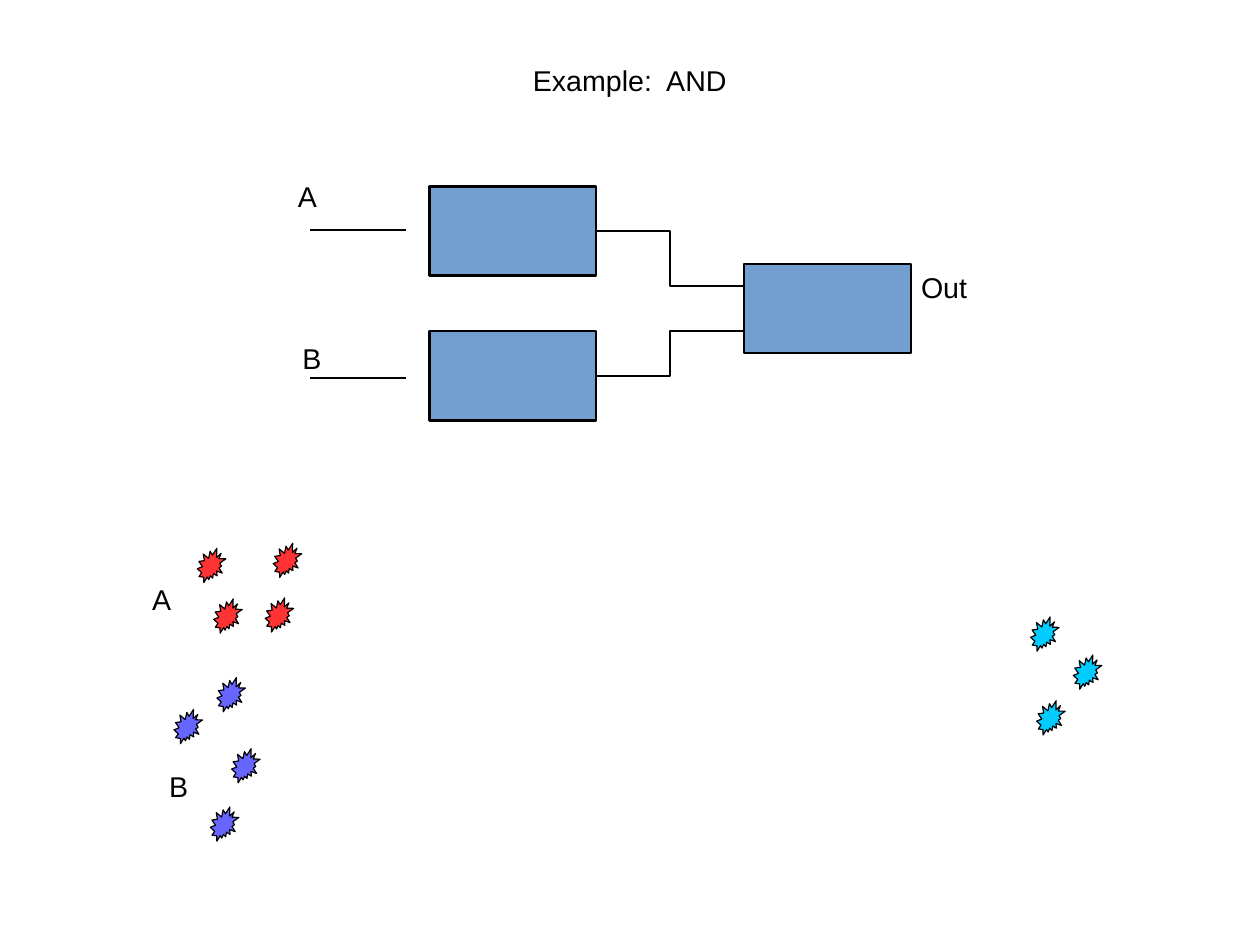
from pptx import Presentation
from pptx.util import Pt
from pptx.dml.color import RGBColor
from pptx.enum.shapes import MSO_SHAPE as Kind, MSO_CONNECTOR as Link
from pptx.enum.text import PP_ALIGN as Align, MSO_ANCHOR as Anchor
from pptx.oxml.ns import qn
from lxml.etree import SubElement


def paint(part, color):
    part.solid()
    part.fore_color.rgb = RGBColor.from_string(color)


def write(text, x, y, w, h, **form):
    box = slide.shapes.add_textbox(Pt(x), Pt(y), Pt(w), Pt(h))
    frame = box.text_frame
    frame.text = text
    for key, value in form.items():
        setattr(frame, key, value)
    font = frame.paragraphs[0].font
    for key, value in {"name": "Arial", "size": Pt(18)}.items():
        setattr(font, key, value)
    paint(font.fill, "000000")
    return frame


deck = Presentation()
deck.slide_width, deck.slide_height = Pt(793.7), Pt(595.28)
slide = deck.slides.add_slide(deck.slide_layouts[6])

gates = [(468.6, 166.3), (270.6, 117.4), (270.6, 208.7)]
bursts = {
    "FF3333": [(134.6, 377.3), (167, 376.6), (124.3, 345.4), (172.1, 342.2)],
    "6666FF": [(109.6, 446.9), (145.9, 471.6), (136.6, 426.8), (132.5, 508.3)],
    "00CCFF": [(676.1, 412.6), (653, 441.4), (649.2, 388.6)],
}
items = [(Kind.RECTANGLE, "729FCF", x, y, 105.1, 56.2, 1.45) for x, y in gates]
for color, spots in bursts.items():
    items += [(Kind.EXPLOSION2, color, x, y, 18, 21.6, 0.75) for x, y in spots]

for kind, color, x, y, w, h, line in items:
    shape = slide.shapes.add_shape(kind, Pt(x), Pt(y), Pt(w), Pt(h))
    shape.shadow.inherit = False
    paint(shape.fill, color)
    paint(shape.line.fill, "000000")
    shape.line.width = Pt(line)

wires = [
    (Link.ELBOW, 375.7, 145.5, 468.6, 180),
    (Link.ELBOW, 375.7, 236.8, 468.6, 208.7),
    (Link.STRAIGHT, 256, 144.7, 195, 144.7),
    (Link.STRAIGHT, 256, 238.3, 195, 238.3),
]
for kind, *ends in wires:
    wire = slide.shapes.add_connector(kind, *[Pt(end) for end in ends])
    paint(wire.line.fill, "000000")
    wire.line.width = Pt(1.45)
    SubElement(wire._element.spPr, qn("a:effectLst"))

labels = [
    ("A", 180.5, 109, 25.9),
    ("B", 183.4, 211, 25.9),
    ("Out", 573.1, 166.3, 43.2),
    ("B", 99.4, 480.7, 25.9),
    ("A", 88.7, 362.9, 25.9),
]
for text, x, y, w in labels:
    write(text, x, y, w, 27.4, word_wrap=False)

sides = dict.fromkeys(
    ["margin_left", "margin_top", "margin_right", "margin_bottom"], 0)
title = write("Example:  AND", 39.6, 0.7, 714.2, 99.4, word_wrap=True,
              vertical_anchor=Anchor.MIDDLE, **sides)
title.paragraphs[0].alignment = Align.CENTER

deck.save("out.pptx")
